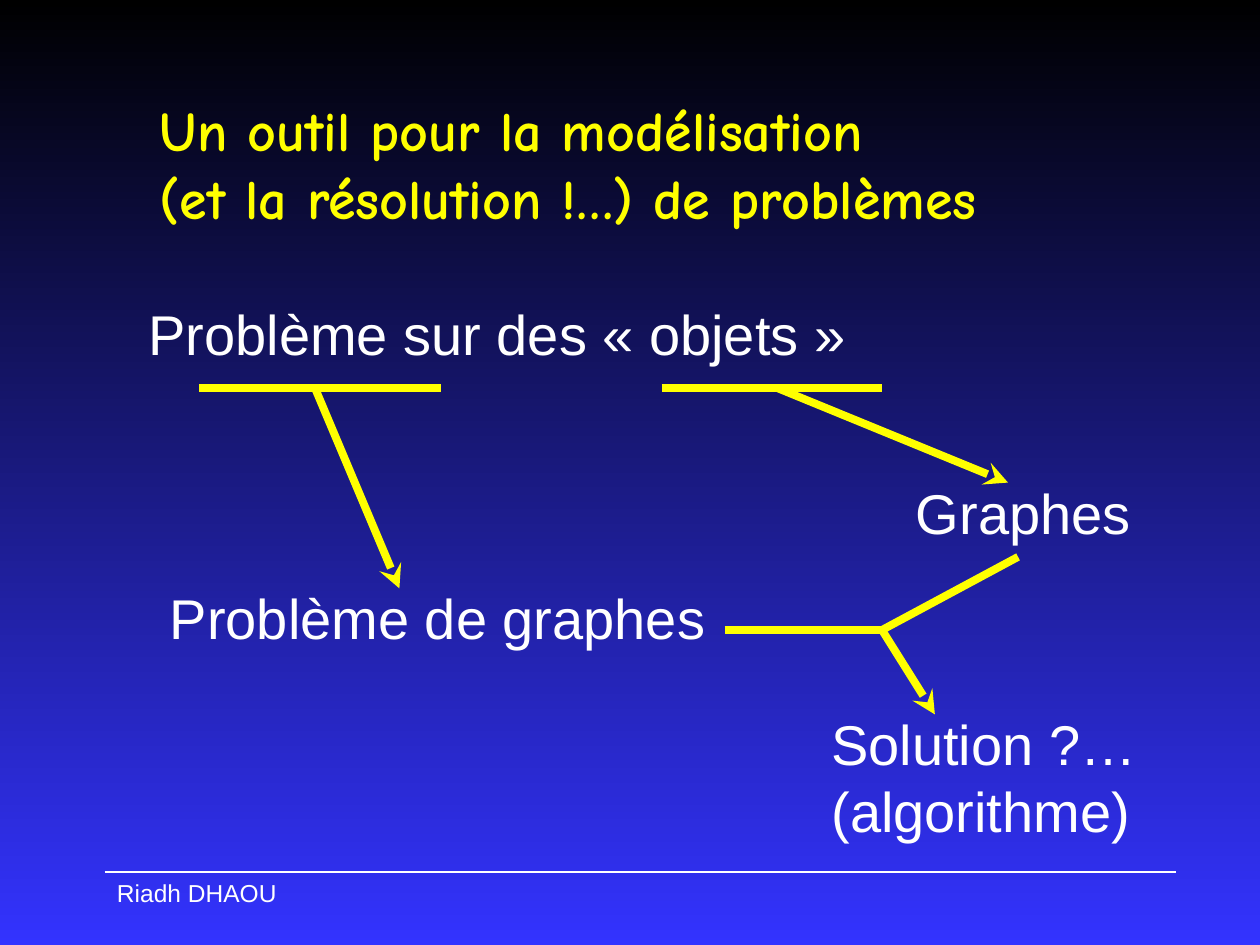
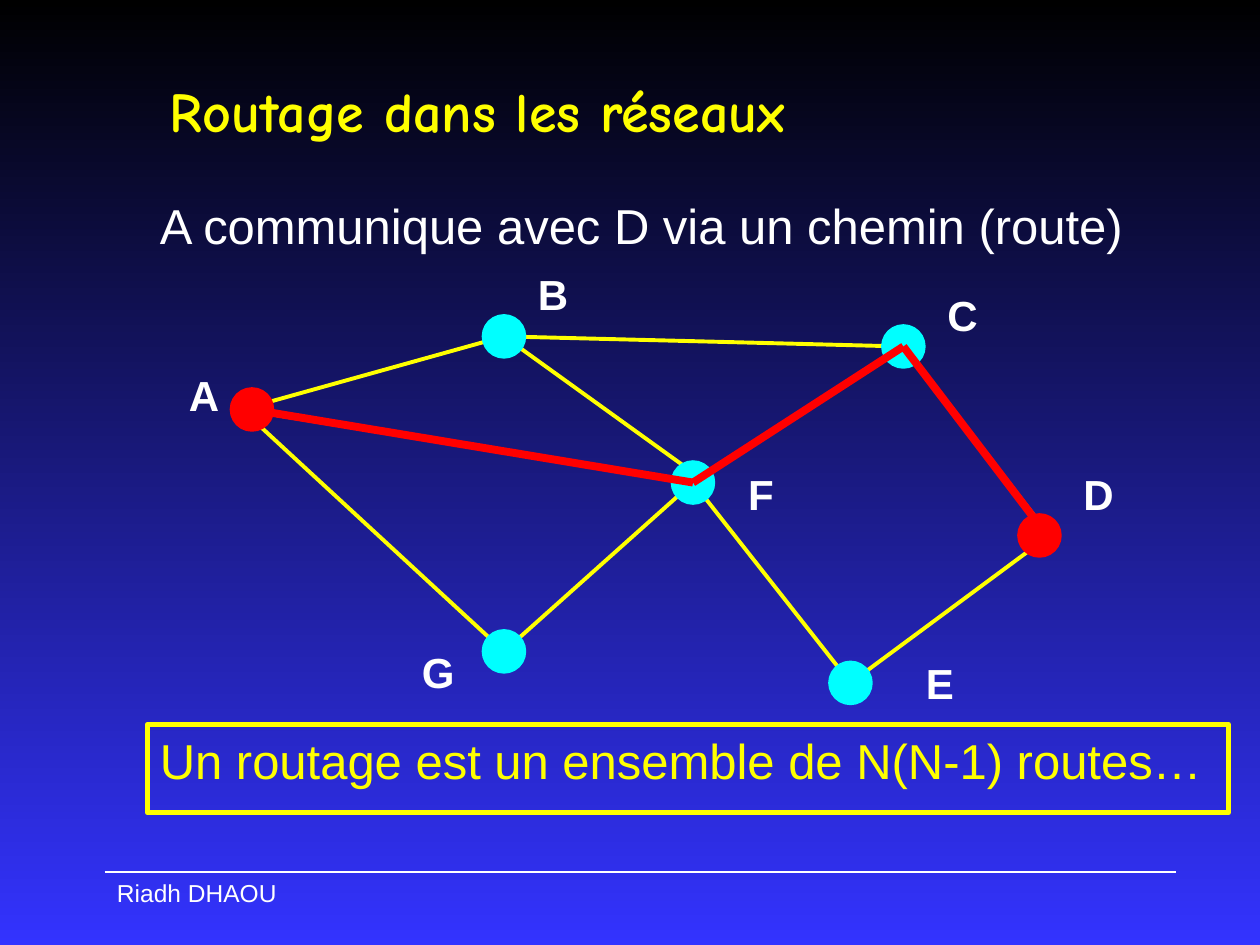
from itertools import pairwise

from lxml import etree
from pptx import Presentation
from pptx.dml.color import RGBColor
from pptx.enum.shapes import MSO_CONNECTOR, MSO_SHAPE
from pptx.enum.text import MSO_ANCHOR, PP_ALIGN
from pptx.oxml.ns import qn
from pptx.util import Inches, Pt

STRAIGHT = MSO_CONNECTOR.STRAIGHT
OVAL = MSO_SHAPE.OVAL
RECTANGLE = MSO_SHAPE.RECTANGLE
TOP = MSO_ANCHOR.TOP
MIDDLE = MSO_ANCHOR.MIDDLE
LEFT = PP_ALIGN.LEFT

BLACK, BLUE, WHITE = "000000", "3333FF", "FFFFFF"
YELLOW, CYAN, RED = "FFFF00", "00FFFF", "FF0000"

TITLE = {"name": "Comic Neue", "size": Pt(32), "bold": True}
BODY = {"name": "Arial", "size": Pt(32)}
STATEMENT = {"name": "Arial", "size": Pt(28)}
NODE_LABEL = {"name": "Arial", "size": Pt(24), "bold": True}
FOOTER = {"name": "Arial", "size": Pt(14)}

THIN, THICK = 2.25, 4.5
NODE_SIZE = 0.34


def rgb(value):
    return RGBColor.from_string(value)


class Deck:
    def __init__(self):
        self.presentation = Presentation()
        self.presentation.slide_width = Inches(10)
        self.presentation.slide_height = Inches(7.5)
        self.slide = None

    def start_slide(self, title, left, top, width):
        layout = self.presentation.slide_layouts[6]
        self.slide = self.presentation.slides.add_slide(layout)
        fill = self.slide.background.fill
        fill.gradient()
        fill.gradient_angle = 270
        for stop, color in zip(fill.gradient_stops, (BLACK, BLUE)):
            stop.color.rgb = rgb(color)
        self.line((0.83, 6.92), (9.33, 6.92), WHITE, 1)
        self.text("Riadh DHAOU", (0.83, 6.92, 1.92, 0.34), FOOTER)
        self.text(title, (left, top, width, 1.25), TITLE, YELLOW, anchor=MIDDLE)

    def set_text(self, shape, content, style, color, anchor=TOP, wrap=True):
        frame = shape.text_frame
        frame.word_wrap = wrap
        frame.vertical_anchor = anchor
        paragraph = frame.paragraphs[0]
        paragraph.text = content
        paragraph.alignment = LEFT
        for run in paragraph.runs:
            for attribute, value in style.items():
                setattr(run.font, attribute, value)
            run.font.color.rgb = rgb(color)

    def text(self, content, box, style, color=WHITE, **layout):
        shape = self.slide.shapes.add_textbox(*map(Inches, box))
        self.set_text(shape, content, style, color, **layout)

    def line(self, start, end, color=YELLOW, width=THICK, arrow=False):
        connector = self.slide.shapes.add_connector(
            STRAIGHT, *map(Inches, (*start, *end)))
        connector.line.color.rgb = rgb(color)
        connector.line.width = Pt(width)
        properties = connector._element.spPr
        if arrow:
            outline = properties.find(qn("a:ln"))
            etree.SubElement(outline, qn("a:tailEnd"), type="stealth")
        etree.SubElement(properties, qn("a:effectLst"))

    def shape(self, kind, box, color, width=1, filled=True):
        shape = self.slide.shapes.add_shape(kind, *map(Inches, box))
        shape.shadow.inherit = False
        if filled:
            shape.fill.solid()
            shape.fill.fore_color.rgb = rgb(color)
        else:
            shape.fill.background()
        shape.line.color.rgb = rgb(color)
        shape.line.width = Pt(width)
        return shape

    def node(self, center, color):
        x, y = center
        corner = (x - NODE_SIZE / 2, y - NODE_SIZE / 2)
        self.shape(OVAL, (*corner, NODE_SIZE, NODE_SIZE), color)

    def framed_text(self, content, box, style, color):
        frame = self.shape(RECTANGLE, box, color, 3, filled=False)
        self.set_text(frame, content, style, color)


def build_modelling(deck):
    deck.start_slide("Un outil pour la modélisation\n(et la résolution !…) de problèmes",
                     1.17, 0.67, 8.83)
    statements = [
        ("Problème sur des « objets »", (1.08, 2.33, 6.8, 0.79)),
        ("Problème de graphes", (1.25, 4.58, 4.67, 0.64)),
        ("Graphes", (7.17, 3.75, 2.17, 0.64)),
        ("Solution ?…\n(algorithme)", (6.5, 5.58, 2.75, 1.17)),
    ]
    for content, box in statements:
        deck.text(content, box, BODY)

    junction = (7, 5)
    underlines = [((1.58, 3.08), (3.5, 3.08)), ((5.25, 3.08), (7, 3.08))]
    branches = [((5.75, 5), junction), (junction, (8.08, 4.42))]
    for start, end in underlines + branches:
        deck.line(start, end)
    for start, end in [((2.5, 3.08), (3.17, 4.67)),
                       ((6.17, 3.08), (8, 3.83)),
                       (junction, (7.42, 5.67))]:
        deck.line(start, end, arrow=True)


def build_routing(deck):
    deck.start_slide("Routage dans les réseaux", 1.25, 0.25, 8.5)
    deck.text("A communique avec D via un chemin (route)",
              (1.17, 1.5, 8.5, 0.7), STATEMENT)

    centers = {"A": (2, 3.25), "B": (4, 2.67), "C": (7.17, 2.75), "D": (8.25, 4.25),
               "E": (6.75, 5.42), "F": (5.5, 3.83), "G": (4, 5.17)}
    labels = {"A": (1.4, 2.88), "B": (4.17, 2.08), "C": (7.42, 2.25), "D": (8.5, 3.67),
              "E": (7.25, 5.17), "F": (5.84, 3.67), "G": (3.25, 5.08)}
    link_ends = centers | {"A": (1.92, 3.25), "D": (8.33, 4.25)}

    for start, end in ("AB", "FG", "GA", "AF", "FC", "CD", "DE", "EF", "BC"):
        deck.line(link_ends[start], link_ends[end], width=THIN)
    deck.line(centers["B"], (5.5, 3.75), width=THIN)
    for name, center in centers.items():
        deck.node(center, RED if name in "AD" else CYAN)
        deck.text(name, (*labels[name], 0.44, 0.5), NODE_LABEL, wrap=False)

    deck.framed_text("Un routage est un ensemble de N(N-1) routes…",
                     (1.17, 5.75, 8.58, 0.7), STATEMENT, YELLOW)
    route = [centers[name] for name in "AFC"] + [(8.25, 4.17)]
    for start, end in pairwise(route):
        deck.line(start, end, RED)


def main():
    deck = Deck()
    build_modelling(deck)
    build_routing(deck)
    deck.presentation.save("out.pptx")


if __name__ == "__main__":
    main()
